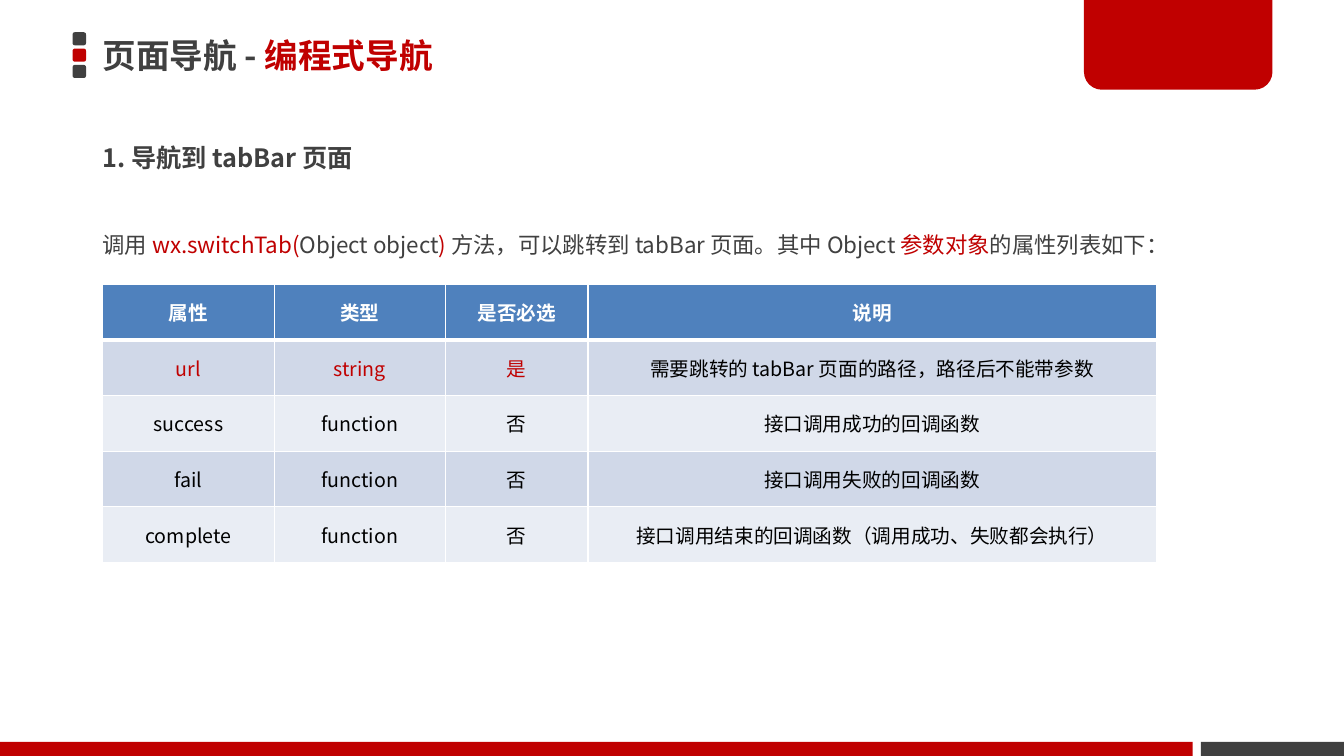
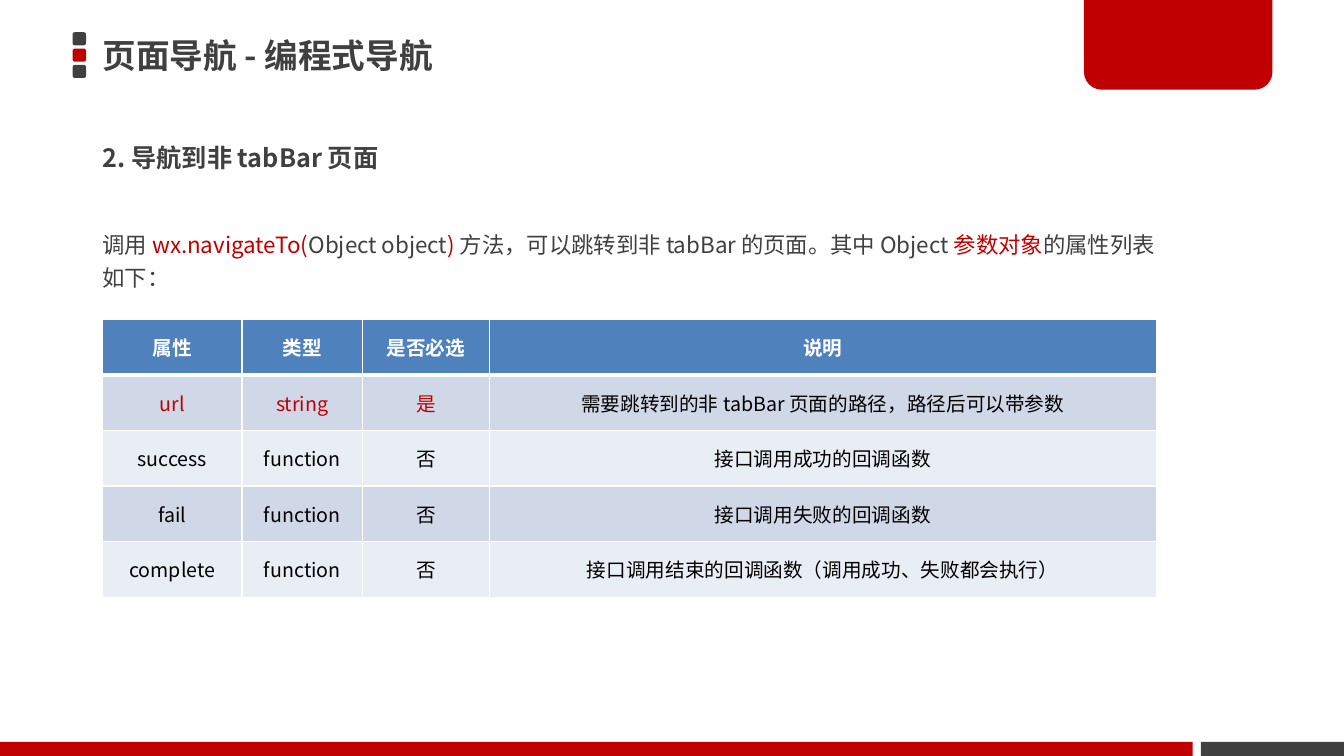
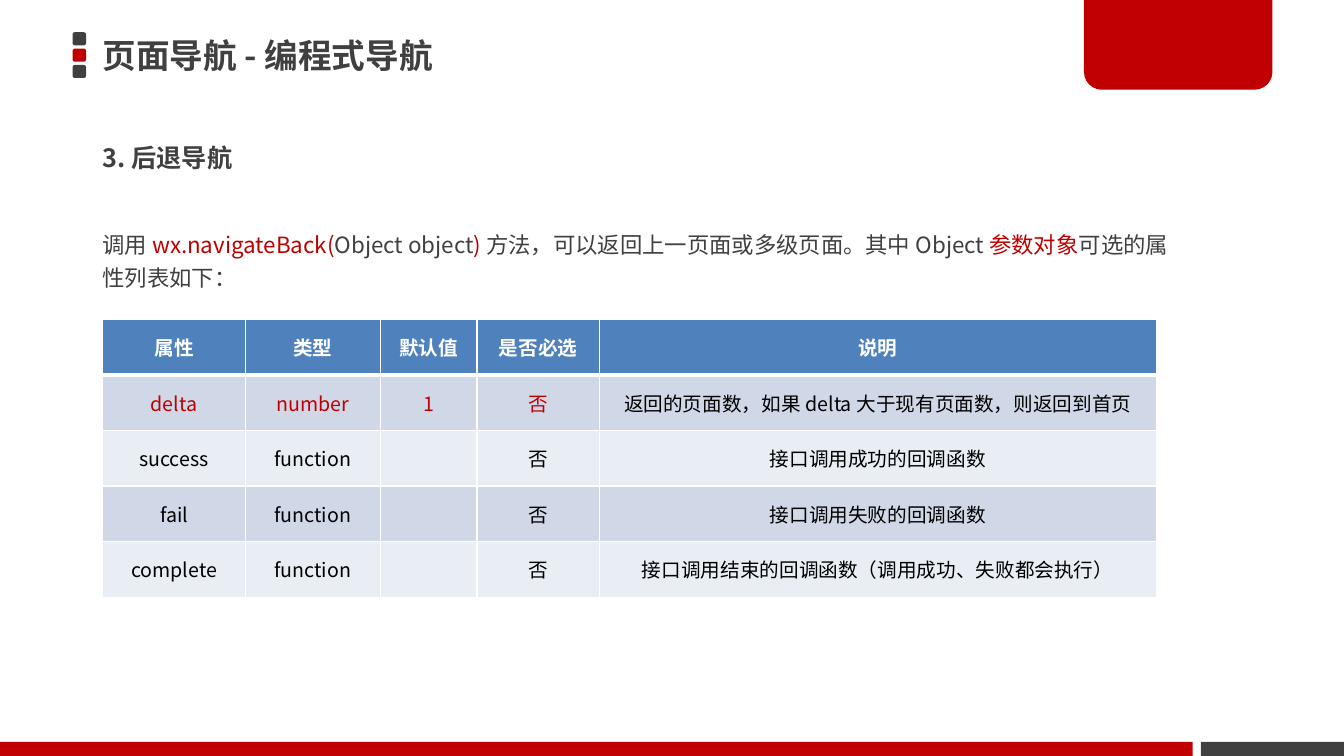
from dataclasses import dataclass

from lxml.etree import SubElement as Sub
from pptx import Presentation as Deck
from pptx.dml.color import RGBColor as Rgb
from pptx.enum.shapes import MSO_SHAPE as Kind
from pptx.enum.text import MSO_ANCHOR as Anchor, PP_ALIGN as Align
from pptx.oxml.ns import qn
from pptx.util import Emu, Inches, Pt

HUES = {
    "ink": "404040", "red": "C00000", "white": "FFFFFF", "black": "000000",
    "head": "4F81BD", "odd": "D0D8E8", "even": "E9EDF4",
}
FONT = "Noto Sans CJK JP"
WIDE, HIGH = Inches(13.333), Inches(7.5)

# All lengths are percentages of the slide's width or height.
TEXT_X, TABLE_X, TABLE_W, ROW_H = 6.9, 7.65, 78.4, 7.36

STYLES = {
    "title": {"size": Pt(24), "bold": True},
    "topic": {"size": Pt(18), "bold": True},
    "body": {"size": Pt(16), "bold": False},
    "head": {"size": Pt(14), "bold": True},
    "cell": {"size": Pt(14), "bold": False},
}


@dataclass(frozen=True)
class Run:
    text: str
    hue: str = "ink"


@dataclass(frozen=True)
class Block:
    """A preset shape of the frame that every slide carries."""
    kind: Kind
    box: tuple[float, float, float, float]
    hue: str
    bends: tuple[float, ...] = ()


@dataclass(frozen=True)
class Page:
    title: list[Run]
    topic: str
    call: str
    deed: str
    tail: str
    body_w: float
    top: float
    cols: list[float]
    rows: list[list[str]]


FRAME = [
    *(Block(Kind.ROUNDED_RECTANGLE, (5.4, 4.27 + 2.16 * i, 1, 1.73), hue, (0.17,))
      for i, hue in enumerate(("ink", "red", "ink"))),
    Block(Kind.RECTANGLE, (89.35, 98.13, 10.65, 1.87), "ink"),
    Block(Kind.ROUND_2_SAME_RECTANGLE, (80.65, 0, 14.03, 11.87), "red", (0, 0.2)),
    Block(Kind.RECTANGLE, (0, 98.13, 88.75, 1.87), "red"),
]


def across(share: float) -> Emu:
    return Emu(round(WIDE * share / 100))


def down(share: float) -> Emu:
    return Emu(round(HIGH * share / 100))


def place(x: float, y: float, w: float, h: float) -> tuple[Emu, Emu, Emu, Emu]:
    return across(x), down(y), across(w), down(h)


def rgb(hue: str) -> Rgb:
    return Rgb.from_string(HUES[hue])


def write(para, runs: list[Run], style: str) -> None:
    for item in runs:
        run = para.add_run()
        run.text = item.text
        for key, value in STYLES[style].items():
            setattr(run.font, key, value)
        run.font.color.rgb = rgb(item.hue)
        run.font.name = FONT
        Sub(run.font._element, qn("a:ea"), typeface=FONT)


def add_frame(slide) -> None:
    for block in FRAME:
        shape = slide.shapes.add_shape(block.kind, *place(*block.box))
        shape.shadow.inherit = False
        shape.fill.solid()
        shape.fill.fore_color.rgb = rgb(block.hue)
        shape.line.fill.background()
        for i, bend in enumerate(block.bends):
            shape.adjustments[i] = bend


def add_text(slide, box: tuple, runs: list[Run], style: str,
             anchor: Anchor = Anchor.MIDDLE, **look) -> None:
    """Add a one-paragraph text box; look holds paragraph settings."""
    frame = slide.shapes.add_textbox(*place(*box)).text_frame
    frame.word_wrap = True
    frame.vertical_anchor = anchor
    para = frame.paragraphs[0]
    for key, value in look.items():
        setattr(para, key, value)
    write(para, runs, style)


def add_edges(cell, row: int) -> None:
    """Draw white cell borders, thick between the header and the data."""
    props = cell._tc.get_or_add_tcPr()
    thick = {"T": row == 1, "B": row == 0}
    for i, side in enumerate("LRTB"):
        width = Pt(3 if thick.get(side) else 1)
        edge = Sub(props, qn(f"a:ln{side}"), w=str(width))
        fill = Sub(edge, qn("a:solidFill"))
        Sub(fill, qn("a:srgbClr"), val=HUES["white"])
        props.insert(i, edge)


def add_grid(slide, page: Page) -> None:
    count, last = len(page.rows), len(page.cols) - 1
    box = place(TABLE_X, page.top, TABLE_W, ROW_H * count)
    table = slide.shapes.add_table(count, last + 1, *box).table
    for col, width in zip(table.columns, page.cols):
        col.width = across(width)
    for r, texts in enumerate(page.rows):
        table.rows[r].height = down(ROW_H)
        back = "head" if r == 0 else "odd" if r % 2 else "even"
        for c, text in enumerate(texts):
            cell = table.cell(r, c)
            cell.fill.solid()
            cell.fill.fore_color.rgb = rgb(back)
            cell.vertical_anchor = Anchor.MIDDLE
            add_edges(cell, r)
            hue = "white" if r == 0 else "red" if r == 1 and c < last else "black"
            para = cell.text_frame.paragraphs[0]
            para.alignment = Align.CENTER
            if text:
                write(para, [Run(text, hue)], "head" if r == 0 else "cell")


def add_page(deck, page: Page) -> None:
    slide = deck.slides.add_slide(deck.slide_layouts[6])
    add_frame(slide)
    add_text(slide, (TEXT_X, 3.47, 71.95, 7.6), page.title, "title")
    add_text(slide, (TEXT_X, 17.07, 80.8, 7.6), [Run(page.topic)], "topic",
             space_before=Pt(3.6))
    body = [
        Run("调用 "), Run(f"wx.{page.call}(", "red"), Run("Object object"),
        Run(") ", "red"), Run(f"方法，可以{page.deed}。其中 Object "),
        Run("参数对象", "red"), Run(f"{page.tail}属性列表如下："),
    ]
    add_text(slide, (TEXT_X, 29.07, page.body_w, 13.2), body, "body", Anchor.TOP,
             line_spacing=1.24, space_before=Pt(3.2))
    add_grid(slide, page)


def fill_rows(first: list[str], extra: list[str]) -> list[list[str]]:
    """Join the header, the first row and the three callback rows."""
    notes = {
        "success": "接口调用成功的回调函数",
        "fail": "接口调用失败的回调函数",
        "complete": "接口调用结束的回调函数（调用成功、失败都会执行）",
    }
    blank = [""] * len(extra)
    return [
        ["属性", "类型", *extra, "是否必选", "说明"],
        first,
        *([name, "function", *blank, "否", note] for name, note in notes.items()),
    ]


PLAIN = [Run("页面导航 - 编程式导航")]
PAGES = [
    Page([Run("页面导航 - "), Run("编程式导航", "red")],
         "1. 导航到 tabBar 页面", "switchTab", "跳转到 tabBar 页面", "的",
         83.2, 37.6, [12.75, 12.75, 10.6, 42.3],
         fill_rows(["url", "string", "是",
                    "需要跳转的 tabBar 页面的路径，路径后不能带参数"], [])),
    Page(PLAIN, "2. 导航到非 tabBar 页面", "navigateTo",
         "跳转到非 tabBar 的页面", "的",
         80.8, 42.2, [10.35, 9, 9.4, 49.65],
         fill_rows(["url", "string", "是",
                    "需要跳转到的非 tabBar 页面的路径，路径后可以带参数"], [])),
    Page(PLAIN, "3. 后退导航", "navigateBack", "返回上一页面或多级页面", "可选的",
         80.8, 42.2, [10.6, 10.05, 7.2, 9.1, 41.45],
         fill_rows(["delta", "number", "1", "否",
                    "返回的页面数，如果 delta 大于现有页面数，则返回到首页"],
                   ["默认值"])),
]


def main() -> None:
    deck = Deck()
    deck.slide_width, deck.slide_height = WIDE, HIGH
    for page in PAGES:
        add_page(deck, page)
    deck.save("out.pptx")


if __name__ == "__main__":
    main()
